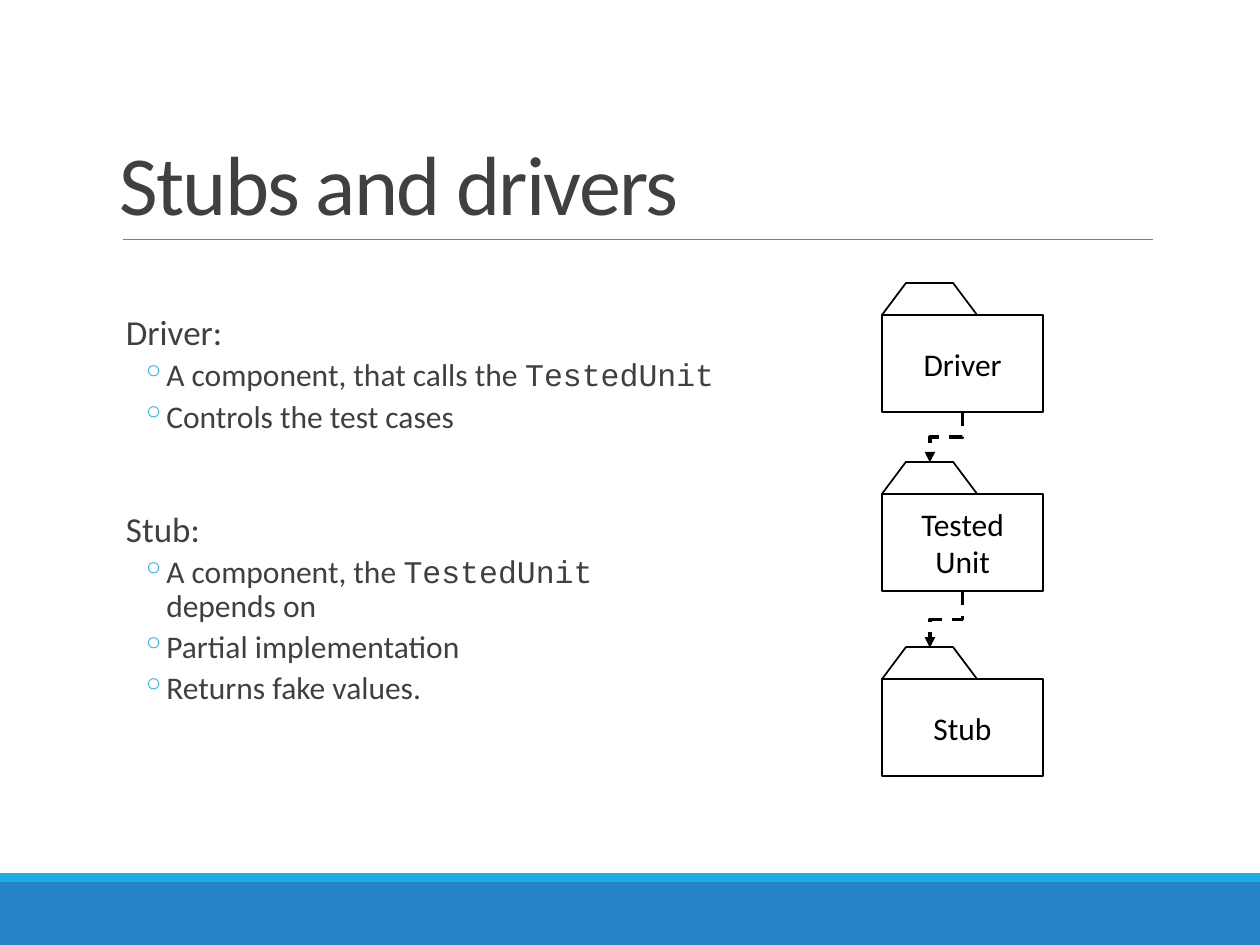
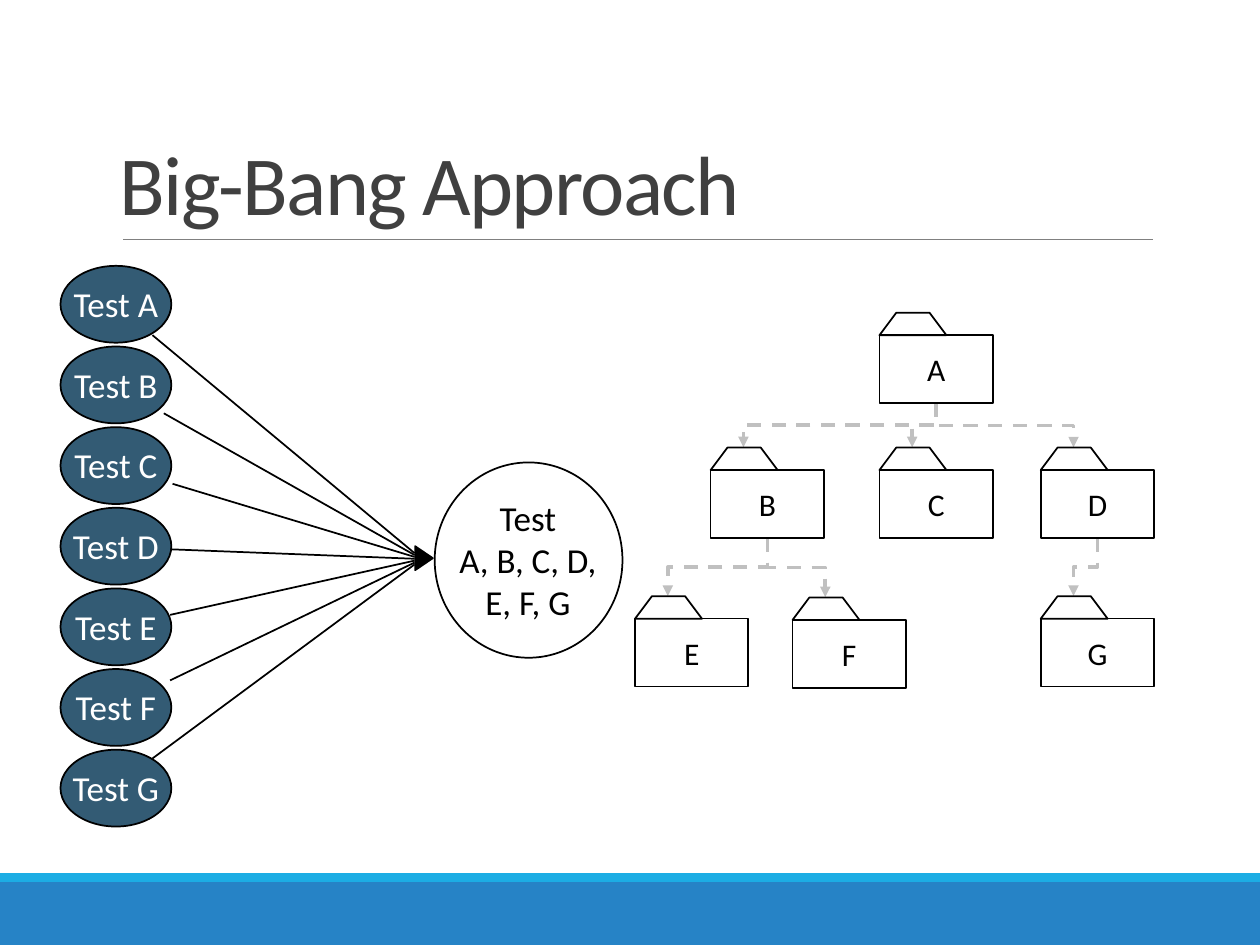
from pptx import Presentation
from pptx.dml.color import RGBColor
from pptx.enum.dml import MSO_LINE
from pptx.enum.shapes import MSO_CONNECTOR, MSO_SHAPE
from pptx.enum.text import MSO_ANCHOR, MSO_AUTO_SIZE, PP_ALIGN
from pptx.oxml.ns import qn
from pptx.util import Inches, Pt
from lxml.etree import SubElement

FONT, CODE_FONT = "Calibri", "Courier New"
BLACK, WHITE, INK, GRAY = "000000", "FFFFFF", "404040", "C0C0C0"
BLUE, CYAN, NAVY, RULE = "2683C6", "1CADE4", "335B74", "808080"


def rgb(code):
    return RGBColor.from_string(code)


def add_text(para, text, size=18, color=BLACK, font=FONT, spacing=None):
    span = para.add_run()
    span.text = text
    span.font.name, span.font.size = font, Pt(size)
    span.font.color.rgb = rgb(color)
    if spacing is not None:
        span.font._element.set("spc", str(spacing))


def set_indent(para, left, first=0, bullet=None):
    props = para._p.get_or_add_pPr()
    props.set("marL", str(Inches(left)))
    props.set("indent", str(Inches(first)))
    if bullet:
        bullet_color = SubElement(props, qn("a:buClr"))
        SubElement(bullet_color, qn("a:srgbClr"), val=CYAN)
        SubElement(props, qn("a:buChar"), char=bullet)


class SlideWriter:
    def __init__(self):
        self.deck = Presentation()
        self.deck.slide_width, self.deck.slide_height = Inches(10), Inches(7.5)
        self.page = None

    def new_page(self, title):
        self.page = self.deck.slides.add_slide(self.deck.slide_layouts[5])
        # Footer bands and rule under the title
        self.shape(MSO_SHAPE.RECTANGLE, 0, 7, 10, 0.5, fill=BLUE, line=None)
        self.shape(MSO_SHAPE.RECTANGLE, 0, 6.93, 10, 0.07, fill=CYAN, line=None)
        self.line((0.98, 1.9), (9.15, 1.9), color=RULE, width=0.5)
        # Title
        box = self.page.shapes.title
        box.left, box.top = Inches(0.9), Inches(0.31)
        box.width, box.height = Inches(8.25), Inches(1.59)
        frame = self.frame(box, 0.05, MSO_ANCHOR.BOTTOM)
        para = frame.paragraphs[0]
        para.alignment, para.line_spacing = PP_ALIGN.LEFT, 0.85
        add_text(para, title, size=48, color=INK, spacing=-100)

    def frame(self, box, inset, anchor, wrap=True):
        frame = box.text_frame
        frame.word_wrap = wrap
        frame.auto_size = MSO_AUTO_SIZE.NONE if wrap else MSO_AUTO_SIZE.SHAPE_TO_FIT_TEXT
        frame.vertical_anchor = anchor
        frame.margin_left = frame.margin_right = Inches(inset)
        frame.margin_top = frame.margin_bottom = Inches(inset)
        return frame

    def shape(self, kind, left, top, width, height, fill=None, line=BLACK):
        shape = self.page.shapes.add_shape(
            kind, Inches(left), Inches(top), Inches(width), Inches(height))
        shape.shadow.inherit = False
        if fill:
            shape.fill.solid()
            shape.fill.fore_color.rgb = rgb(fill)
        else:
            shape.fill.background()
        if line:
            shape.line.color.rgb = rgb(line)
            shape.line.width = Pt(1)
        else:
            shape.line.fill.background()
        return shape

    def label(self, center_x, center_y, width, height, lines, **style):
        """Unwrapped text box centred on a point."""
        box = self.page.shapes.add_textbox(
            Inches(center_x - width / 2), Inches(center_y - height / 2),
            Inches(width), Inches(height))
        frame = self.frame(box, 0.05, MSO_ANCHOR.MIDDLE, wrap=False)
        for index, text in enumerate(lines):
            para = frame.add_paragraph() if index else frame.paragraphs[0]
            para.alignment = PP_ALIGN.CENTER
            add_text(para, text, **style)

    def line(self, start, end, color=BLACK, width=1, kind=MSO_CONNECTOR.STRAIGHT):
        line = self.page.shapes.add_connector(kind, *map(Inches, (*start, *end)))
        line.line.color.rgb = rgb(color)
        line.line.width = Pt(width)
        SubElement(line._element.spPr, qn("a:effectLst"))
        return line

    def elbow(self, start, end, color):
        """Dashed arrow that runs down, across and down again."""
        (x1, y1), (x2, y2) = start, end
        middle_x, middle_y = (x1 + x2) / 2, (y1 + y2) / 2
        half_run, half_drop = (x2 - x1) / 2, (y2 - y1) / 2
        arrow = self.line((middle_x - half_drop, middle_y + half_run),
                          (middle_x + half_drop, middle_y - half_run),
                          color, 2, MSO_CONNECTOR.ELBOW)
        props = arrow._element.spPr
        props.find(qn("a:xfrm")).set("rot", "5400000")
        arrow.line.dash_style = MSO_LINE.DASH
        SubElement(props.find(qn("a:ln")), qn("a:tailEnd"), type="triangle")

    def folder(self, left, top, width, height, lines, label_width, fill=None):
        """Package symbol: body at the given place, tab on top of it."""
        self.shape(MSO_SHAPE.RECTANGLE, left, top, width, height, fill)
        tab_height = 0.33 * height
        tab = self.shape(MSO_SHAPE.TRAPEZOID, left, top - tab_height,
                         0.59 * width, tab_height, fill)
        tab.adjustments[0] = 0.75
        self.label(left + width / 2, top + height / 2,
                   label_width, 0.11 + 0.3 * len(lines), lines)

    def body(self, left, top, width, height, sections):
        box = self.page.shapes.add_textbox(
            Inches(left), Inches(top), Inches(width), Inches(height))
        frame = self.frame(box, 0, MSO_ANCHOR.TOP)
        for index, (heading, items) in enumerate(sections):
            para = frame.add_paragraph() if index else frame.paragraphs[0]
            set_indent(para, 0.1)
            para.line_spacing = 0.9
            para.space_before = Pt(44 if index else 0)
            add_text(para, heading, size=20, color=INK)
            for parts in items:
                para = frame.add_paragraph()
                para.line_spacing, para.space_before = 0.9, Pt(4)
                set_indent(para, 0.42, -0.2, "◦")
                for part in parts:
                    if part == "\n":
                        para.add_line_break()
                    else:
                        font = CODE_FONT if part == "TestedUnit" else FONT
                        add_text(para, part, color=INK, font=font)


def stubs_and_drivers(writer):
    writer.new_page("Stubs and drivers")
    writer.body(0.9, 2.5, 6, 3.9, [
        ("Driver:", [["A component, that calls the ", "TestedUnit"],
                     ["Controls the test cases"]]),
        ("Stub:", [["A component, the ", "TestedUnit", "\n", "depends on"],
                   ["Partial implementation"],
                   ["Returns fake values."]]),
    ])
    # Chain of packages
    for top, lines, label_width in [(2.5, ["Driver"], 0.78),
                                    (3.92, ["Tested", "Unit"], 0.92),
                                    (5.39, ["Stub"], 0.63)]:
        writer.folder(7, top, 1.28, 0.77, lines, label_width, fill=WHITE)
    for start_y, end_y in [(3.27, 3.67), (4.69, 5.14)]:
        writer.elbow((7.64, start_y), (7.38, end_y), BLACK)


def big_bang(writer):
    writer.new_page("Big-Bang Approach")
    # Package tree: left and top of each body, label width
    width, height = 0.9, 0.54
    folders = {"A": (6.98, 2.66, 0.28), "B": (5.64, 3.73, 0.28),
               "C": (6.98, 3.73, 0.29), "D": (8.26, 3.73, 0.29),
               "E": (5.04, 4.91, 0.28), "F": (6.29, 4.92, 0.27),
               "G": (8.26, 4.91, 0.31)}
    for parent, child in ["AB", "AC", "AD", "BE", "BF", "DG"]:
        left, top, _ = folders[parent]
        child_left, child_top, _ = folders[child]
        writer.elbow((left + width / 2, top + height),
                     (child_left + 0.26, child_top - 0.18), GRAY)
    for name, (left, top, label_width) in folders.items():
        writer.folder(left, top, width, height, [name], label_width)

    # Single tests
    label_widths = [0.87, 0.88, 0.9, 0.9, 0.88, 0.87, 0.91]
    for index, (name, label_width) in enumerate(zip("ABCDEFG", label_widths)):
        top = 2.11 + 0.64 * index
        writer.shape(MSO_SHAPE.OVAL, 0.48, top, 0.88, 0.61, fill=NAVY)
        writer.label(0.92, top + 0.3, label_width, 0.43, [f"Test {name}"],
                     size=20, color=WHITE)

    # Joint test
    writer.shape(MSO_SHAPE.OVAL, 3.45, 3.67, 1.49, 1.55)
    writer.label(4.19, 4.44, 1.5, 1.1, ["Test", "A, B, C, D,", "E, F, G"], size=20)

    # Lines that meet in one arrowhead
    starts = [(1.21, 2.66), (1.3, 3.28), (1.37, 3.84), (1.36, 4.36),
              (1.35, 4.88), (1.35, 5.4), (1.21, 6.02)]
    for index, start in enumerate(starts):
        writer.line(start, (3.29, 4.39 + 0.015 * index))
    head = writer.shape(MSO_SHAPE.ISOSCELES_TRIANGLE, 3.27, 4.36, 0.19, 0.14, fill=BLACK)
    head.rotation = 90


def main():
    writer = SlideWriter()
    stubs_and_drivers(writer)
    big_bang(writer)
    writer.deck.save("out.pptx")


if __name__ == "__main__":
    main()
